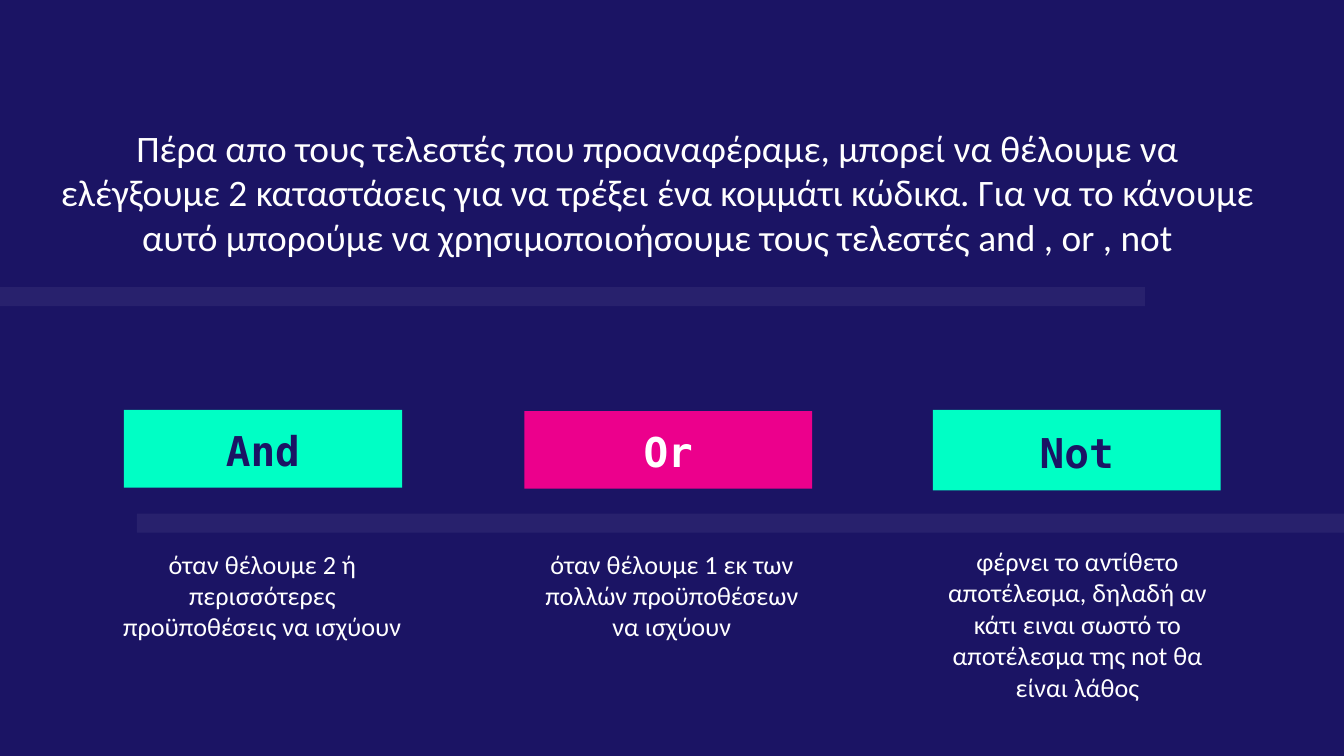
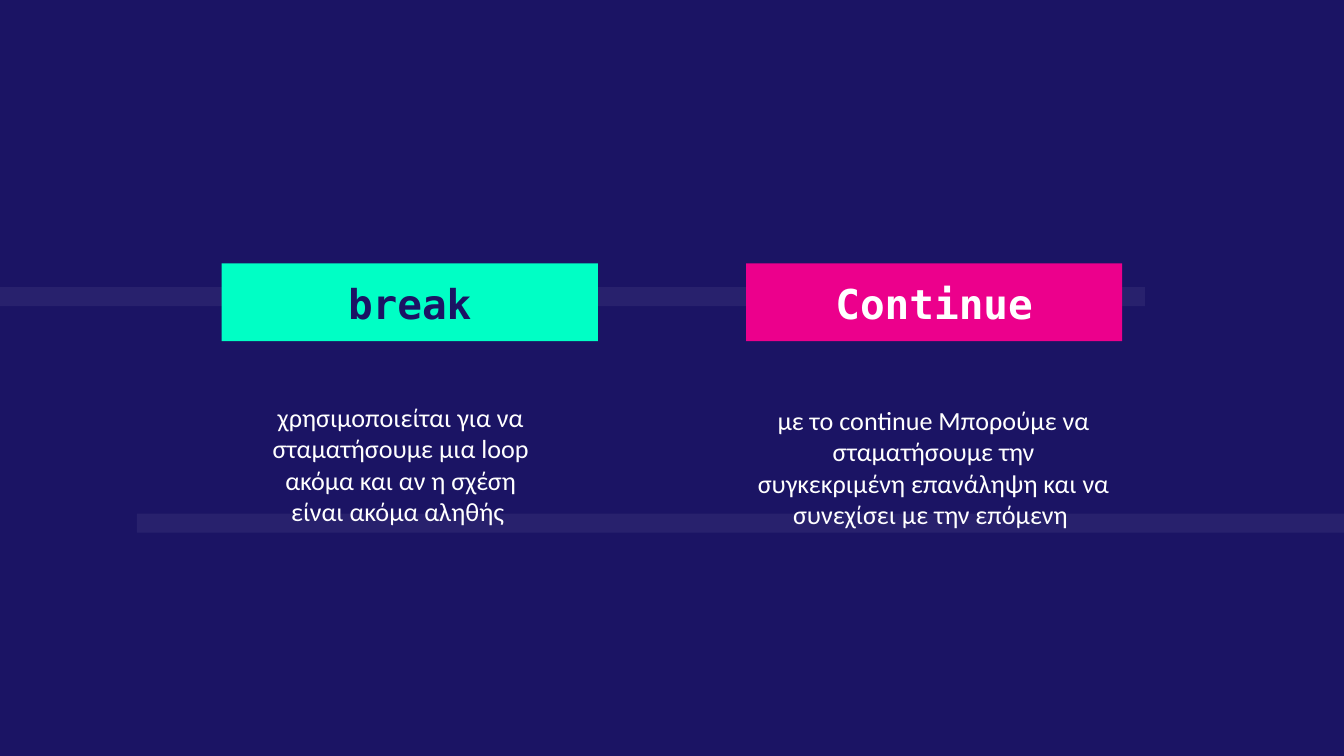
from dataclasses import dataclass

from lxml.etree import SubElement
from pptx import Presentation
from pptx.dml.color import RGBColor
from pptx.enum.shapes import MSO_SHAPE as Preset
from pptx.enum.text import MSO_ANCHOR as Anchor, PP_ALIGN as Align
from pptx.oxml.ns import qn
from pptx.util import Cm, Pt


@dataclass(frozen=True)
class Theme:
    navy: RGBColor = RGBColor(0x1B, 0x14, 0x64)
    white: RGBColor = RGBColor(0xFF, 0xFF, 0xFF)
    mint: RGBColor = RGBColor(0x00, 0xFF, 0xC5)
    pink: RGBColor = RGBColor(0xEC, 0x00, 0x8C)
    body_font: str = "Calibri"
    code_font: str = "DejaVu Sans Mono"
    intro_size: int = 20
    label_size: int = 22
    body_size: int = 14
    band_opacity: int = 6


THEME = Theme()
SLIDE_WIDTH, SLIDE_HEIGHT = 25.4, 14.29
BAND_HEIGHT = 0.36
INSET = 0.25
MINT_LABEL = (THEME.mint, THEME.navy)
PINK_LABEL = (THEME.pink, THEME.white)

INTRO = (
    "Πέρα απο τους τελεστές που προαναφέραμε, μπορεί να θέλουμε να ελέγξουμε "
    "2 καταστάσεις για να τρέξει ένα κομμάτι κώδικα. Για να το κάνουμε αυτό "
    "μπορούμε να χρησιμοποιοήσουμε τους τελεστές and , or , not"
)

# Each entry: label, colours, label box, description, description box.
# Boxes are left, top, width, height in centimetres.
OPERATORS = [
    ("And", MINT_LABEL, (2.34, 7.75, 5.26, 1.47),
     "όταν θέλουμε 2 ή περισσότερες προϋποθέσεις να ισχύουν",
     (2.06, 10.11, 5.8, 3.48)),
    ("Or", PINK_LABEL, (9.91, 7.77, 5.44, 1.47),
     "όταν θέλουμε 1 εκ των πολλών προϋποθέσεων να ισχύουν",
     (9.98, 10.11, 5.44, 2.69)),
    ("Not", MINT_LABEL, (17.63, 7.75, 5.44, 1.52),
     "φέρνει το αντίθετο αποτέλεσμα, δηλαδή αν κάτι ειναι σωστό "
     "το αποτέλεσμα της not θα είναι λάθος",
     (17.48, 10.06, 5.77, 2.69)),
]
LOOP_KEYWORDS = [
    ("break", MINT_LABEL, (4.19, 4.98, 7.11, 1.47),
     "χρησιμοποιείται για να σταματήσουμε μια loop ακόμα και αν η σχέση "
     "είναι ακόμα αληθής ",
     (4.83, 7.34, 5.49, 4.52)),
    ("Continue", PINK_LABEL, (14.1, 4.98, 7.11, 1.47),
     "με το continue Μπορούμε να σταματήσουμε την συγκεκριμένη επανάληψη "
     "και να συνεχίσει με την επόμενη ",
     (14.05, 7.39, 7.19, 3.89)),
]


def to_cm(box):
    return [Cm(length) for length in box]


def write_text(shape, text, font_name, size, color, bold=False, anchor=Anchor.TOP):
    frame = shape.text_frame
    frame.text = text
    frame.word_wrap = True
    frame.vertical_anchor = anchor
    frame.margin_left = frame.margin_right = Cm(INSET)
    frame.margin_top = frame.margin_bottom = Cm(INSET)
    paragraph = frame.paragraphs[0]
    paragraph.alignment = Align.CENTER
    font = paragraph.runs[0].font
    font.name, font.size, font.bold = font_name, Pt(size), bold
    font.color.rgb = color


def add_rectangle(slide, box, fill):
    shape = slide.shapes.add_shape(Preset.RECTANGLE, *to_cm(box))
    shape.shadow.inherit = False
    shape.fill.solid()
    shape.fill.fore_color.rgb = fill
    shape.line.fill.background()
    return shape


def add_band(slide, left, top, width):
    """Add a faint, translucent white strip."""
    band = add_rectangle(slide, (left, top, width, BAND_HEIGHT), THEME.white)
    color = band.fill._xPr.find(f"{qn('a:solidFill')}/{qn('a:srgbClr')}")
    SubElement(color, qn("a:alpha"), val=str(THEME.band_opacity * 1000))


def add_label(slide, text, colors, box):
    fill, text_color = colors
    label = add_rectangle(slide, box, fill)
    write_text(label, text, THEME.code_font, THEME.label_size, text_color,
               bold=True, anchor=Anchor.BOTTOM)


def add_body(slide, text, box, size=THEME.body_size):
    body = slide.shapes.add_textbox(*to_cm(box))
    write_text(body, text, THEME.body_font, size, THEME.white)


def add_keywords(slide, keywords):
    for label, colors, label_box, description, description_box in keywords:
        add_label(slide, label, colors, label_box)
        add_body(slide, description, description_box)


def add_slide(presentation):
    """Add a navy slide with the two shared bands."""
    slide = presentation.slides.add_slide(presentation.slide_layouts[6])
    background = slide.background.fill
    background.solid()
    background.fore_color.rgb = THEME.navy
    add_band(slide, 0, 5.43, 21.64)
    add_band(slide, 2.59, 9.71, SLIDE_WIDTH - 2.59)
    return slide


def main():
    presentation = Presentation()
    presentation.slide_width = Cm(SLIDE_WIDTH)
    presentation.slide_height = Cm(SLIDE_HEIGHT)

    operators = add_slide(presentation)
    add_body(operators, INTRO, (0.89, 2.11, 23.09, 4.42), THEME.intro_size)
    add_keywords(operators, OPERATORS)

    loop_control = add_slide(presentation)
    add_keywords(loop_control, LOOP_KEYWORDS)

    presentation.save("out.pptx")


if __name__ == "__main__":
    main()
